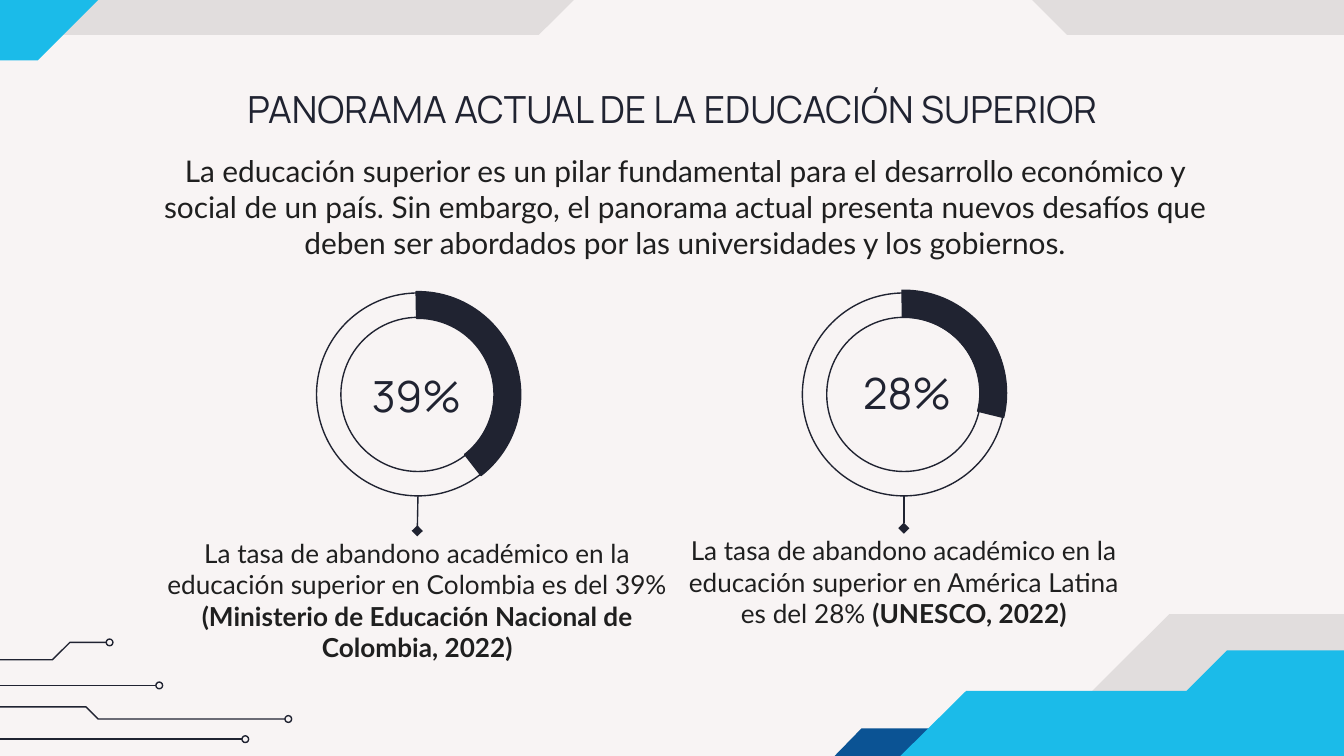
"""Build a slide on the current state of higher education, with two dropout-rate rings."""
from lxml.etree import SubElement
from pptx import Presentation
from pptx.dml.color import RGBColor
from pptx.enum.shapes import MSO_CONNECTOR as Link, MSO_SHAPE as Preset
from pptx.enum.text import MSO_ANCHOR as Anchor, PP_ALIGN as Align
from pptx.oxml.ns import qn
from pptx.util import Inches, Pt

CELL = Inches(0.1)
COLUMNS, ROWS = 100, 56.25
NAVY, INK, CYAN, BLUE, BLACK = "202331", "1F1F1F", "1BBBE9", "0B5394", "000000"


def cells(*counts):
    return [round(count * CELL) for count in counts]


def paint(part, fill=None, line=None):
    if fill:
        part.fill.solid()
        part.fill.fore_color.rgb = RGBColor.from_string(fill)
    elif hasattr(part, "fill"):
        part.fill.background()
    if line:
        part.line.color.rgb = RGBColor.from_string(line)
        part.line.width = Pt(0.75)
    else:
        part.line.fill.background()
    if hasattr(part, "shadow"):
        part.shadow.inherit = False
    else:
        SubElement(part.line._get_or_add_ln().getparent(), qn("a:effectLst"))


deck = Presentation()
deck.slide_width, deck.slide_height = cells(COLUMNS, ROWS)
slide = deck.slides.add_slide(deck.slide_layouts[6])
slide.background.fill.solid()
slide.background.fill.fore_color.rgb = RGBColor.from_string("F8F4F4")
shapes = slide.shapes

bands = [
    (BLACK, [(87, 45.7), (76.4, ROWS), (COLUMNS, ROWS), (COLUMNS, 45.7)]),
    (BLACK, [(0, 0), (0, 2.6), (40.1, 2.6), (42.7, 0)]),
    (BLACK, [(76.8, 0), (79.4, 2.6), (COLUMNS, 2.6), (COLUMNS, 0)]),
    (BLUE, [(62.1, ROWS), (64.1, 54.2), (73.1, 54.2), (71.1, ROWS)]),
    (CYAN, [(67, ROWS), (71.9, 51.4), (88.3, 51.4), (91.3, 48.4), (COLUMNS, 48.4), (COLUMNS, ROWS)]),
    (CYAN, [(0, 0), (0, 4.5), (2.8, 4.5), (7.3, 0)]),
]
for color, corners in bands:
    start, *others = [cells(*corner) for corner in corners]
    outline = shapes.build_freeform(*start)
    outline.add_line_segments(others, close=True)
    band = outline.convert_to_shape()
    paint(band, fill=color)
    if color == BLACK:
        tint = band.fill._xPr.find(qn("a:solidFill"))[0]
        SubElement(tint, qn("a:alpha"), val="9000")

circuits = [
    [(0, 49.1), (3.9, 49.1), (5.2, 47.8), (7.9, 47.8)],
    [(0, 51), (11.6, 51)],
    [(0, 52.6), (6.4, 52.6), (7.3, 53.5), (21.2, 53.5)],
    [(0, 55), (18, 55)],
]
for bends in circuits:
    start, *others = [cells(*bend) for bend in bends]
    if len(others) == 1:
        trace = shapes.add_connector(Link.STRAIGHT, *start, *others[0])
    else:
        outline = shapes.build_freeform(*start)
        outline.add_line_segments(others, close=False)
        trace = outline.convert_to_shape()
    paint(trace, line=NAVY)
    end_x, end_y = bends[-1]
    node = shapes.add_shape(Preset.OVAL, *cells(end_x, end_y - 0.25, 0.5, 0.5))
    paint(node, line=NAVY)

texts = [
    ((7.9, 4.9, 84.3, 6.3), 20, "Manrope", NAVY, ["PANORAMA ACTUAL DE LA EDUCACIÓN SUPERIOR"]),
    ((9.8, 10.9, 82.4, 9.1), 16, "Lato", INK, [
        "La educación superior es un pilar fundamental para el desarrollo económico y social de un país. "
        "Sin embargo, el panorama actual presenta nuevos desafíos que deben ser abordados por las "
        "universidades y los gobiernos."]),
    ((26.6, 27, 8.8, 4.9), 23, "Manrope", NAVY, ["39%"]),
    ((63.1, 26.8, 8.8, 4.9), 23, "Manrope", NAVY, ["28%"]),
    ((10.8, 39.5, 40.5, 10.4), 14, "Lato", INK, [
        "La tasa de abandono académico en la educación superior en Colombia es del 39% ",
        "(Ministerio de Educación Nacional de Colombia, 2022)"]),
    ((50, 39.3, 34.5, 8.1), 14, "Lato", INK, [
        "La tasa de abandono académico en la educación superior en América Latina es del 28% ",
        "(UNESCO, 2022)"]),
]
written = []
for place, size, face, color, runs in texts:
    box = shapes.add_textbox(*cells(*place))
    frame = box.text_frame
    frame.word_wrap = True
    frame.vertical_anchor = Anchor.MIDDLE if size == 20 else Anchor.TOP
    paragraph = frame.paragraphs[0]
    paragraph.alignment = Align.CENTER
    for position, wording in enumerate(runs):
        run = paragraph.add_run()
        run.text = wording
        run.font.size, run.font.name = Pt(size), face
        run.font.bold = position > 0
        run.font.color.rgb = RGBColor.from_string(color)
    written.append(box)

ANGLE_UNIT = 0.6
RING, ARC = 15.1, 15.3
rates = [(31.1, 29.35, 52.1, written[-2]), (67.25, 29.25, 13.8, written[-1])]
for center_x, arc_y, end_angle, caption in rates:
    ring = shapes.add_shape(Preset.DONUT, *cells(center_x - RING / 2, 21.8, RING, RING))
    ring.adjustments[0] = 0.12
    paint(ring, line=NAVY)
    share = shapes.add_shape(Preset.BLOCK_ARC, *cells(center_x - ARC / 2, arc_y - ARC / 2, ARC, ARC))
    share.adjustments[0] = 269 * ANGLE_UNIT
    share.adjustments[1] = end_angle * ANGLE_UNIT
    share.adjustments[2] = 0.13
    paint(share, fill=NAVY, line=NAVY)
    pointer = shapes.add_connector(Link.STRAIGHT, *cells(center_x, 36.9, center_x, 39.3))
    pointer.end_connect(caption, 0)
    paint(pointer, line=NAVY)
    SubElement(pointer.line._get_or_add_ln(), qn("a:tailEnd"), type="diamond")

deck.save("out.pptx")
